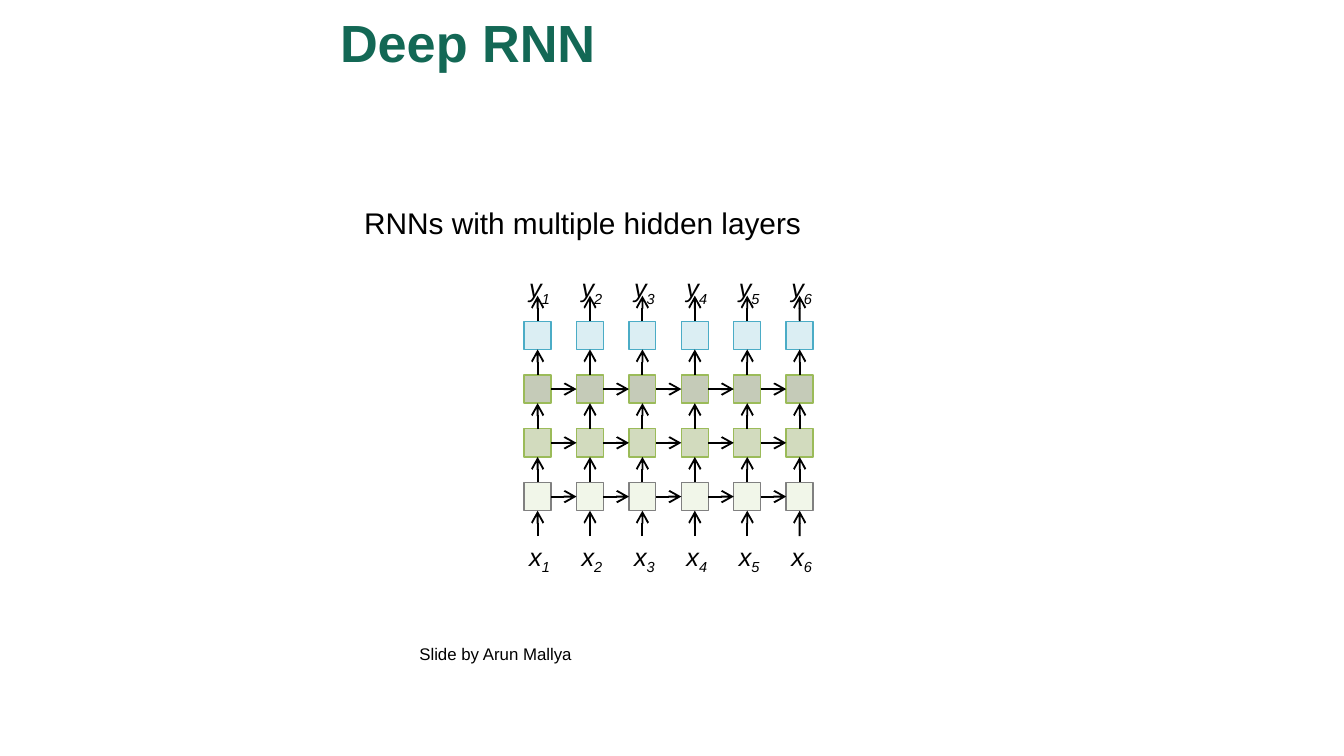
from dataclasses import dataclass

from lxml.etree import SubElement
from pptx import Presentation
from pptx.dml.color import RGBColor
from pptx.enum.shapes import MSO_CONNECTOR, MSO_SHAPE
from pptx.enum.text import MSO_ANCHOR, MSO_AUTO_SIZE, PP_ALIGN
from pptx.oxml.ns import qn
from pptx.util import Inches, Pt

TITLE = "Deep RNN"
SUBTITLE = "RNNs with multiple hidden layers"
CREDIT = "Slide by Arun Mallya"
STEPS = 6
# Layers from top to bottom: fill, outline, linked from step to step
LAYERS = [
    ("93CDDD", "4BACC6", False),
    ("4F6228", "9BBB59", True),
    ("77933C", "9BBB59", True),
    ("D7E4BD", "808080", True),
]


@dataclass(frozen=True)
class Theme:
    font: str = "Arial"
    heading: str = "136855"
    ink: str = "000000"
    title_size: float = 28
    body_size: float = 16
    label_size: float = 13.5
    credit_size: float = 9
    cell_opacity: int = 33
    cell_line: float = 0.75
    arrow_line: float = 1


THEME = Theme()

# Slide and grid in inches
SLIDE_W = 10
SLIDE_H = SLIDE_W * 9 / 16
LEFT, TOP = 3.9, 2.39
COLUMN, ROW = 0.39, 0.4
CELL_W, CELL_H = 0.2, 0.21
ARROW = ROW - CELL_H
LABEL_LEFT, LABEL_W, LABEL_H = 3.83, 0.37, 0.33
LABEL_TOPS = {"y": 1.98, "x": 3.98}
# Connection sites of a rectangle
ABOVE, BEFORE, BELOW, AFTER = range(4)


def inches(*lengths):
    return [Inches(length) for length in lengths]


def style(para, size, color=THEME.ink, bold=False, italic=False):
    font = para.font
    font.name, font.size = THEME.font, Pt(size)
    font.bold, font.italic = bold, italic
    font.color.rgb = RGBColor.from_string(color)


def fill_placeholder(box, text, area, anchor):
    """Move a placeholder, set its text without bullet and return the paragraph."""
    box.left, box.top, box.width, box.height = inches(*area)
    frame = box.text_frame
    frame.text = text
    frame.auto_size = MSO_AUTO_SIZE.NONE
    frame.vertical_anchor = anchor
    para = frame.paragraphs[0]
    para.alignment = PP_ALIGN.LEFT
    para.space_before = Pt(0)
    properties = para._p.get_or_add_pPr()
    properties.set("marL", "0")
    properties.set("indent", "0")
    SubElement(properties, qn("a:buNone"))
    return para


def add_cell(slide, column, row, fill, outline):
    area = inches(LEFT + column * COLUMN, TOP + row * ROW, CELL_W, CELL_H)
    cell = slide.shapes.add_shape(MSO_SHAPE.RECTANGLE, *area)
    cell.shadow.inherit = False
    cell.fill.solid()
    cell.fill.fore_color.rgb = RGBColor.from_string(fill)
    color = cell._element.spPr.find(qn("a:solidFill"))[0]
    SubElement(color, qn("a:alpha"), val=str(THEME.cell_opacity * 1000))
    cell.line.color.rgb = RGBColor.from_string(outline)
    cell.line.width = Pt(THEME.cell_line)
    return cell


def add_arrow(slide, start=(0, 0), end=(0, 0), source=None, target=None):
    """Draw an arrow; source and target are (cell, site) pairs to join."""
    arrow = slide.shapes.add_connector(
        MSO_CONNECTOR.STRAIGHT, *inches(*start, *end))
    if source:
        arrow.begin_connect(*source)
    if target:
        arrow.end_connect(*target)
    arrow.line.color.rgb = RGBColor.from_string(THEME.ink)
    arrow.line.width = Pt(THEME.arrow_line)
    SubElement(arrow.line._get_or_add_ln(), qn("a:tailEnd"), type="arrow")
    SubElement(arrow._element.spPr, qn("a:effectLst"))


def add_label(slide, letter, column, top):
    left = LABEL_LEFT + column * COLUMN
    box = slide.shapes.add_textbox(*inches(left, top, LABEL_W, LABEL_H))
    box.text_frame.word_wrap = False
    para = box.text_frame.paragraphs[0]
    para.alignment = PP_ALIGN.CENTER
    style(para, THEME.label_size, italic=True)
    para.add_run().text = letter
    index = para.add_run()
    index.text = str(column + 1)
    index._r.get_or_add_rPr().set("baseline", "-25000")


def add_network(slide):
    cells = [[add_cell(slide, column, row, fill, outline)
              for column in range(STEPS)]
             for row, (fill, outline, _) in enumerate(LAYERS)]

    for layer, (_, _, linked) in zip(cells, LAYERS):
        if linked:
            for cell, following in zip(layer, layer[1:]):
                add_arrow(slide, source=(cell, AFTER), target=(following, BEFORE))
    for upper_layer, lower_layer in zip(cells, cells[1:]):
        for upper, lower in zip(upper_layer, lower_layer):
            add_arrow(slide, source=(lower, ABOVE), target=(upper, BELOW))

    input_top = TOP + len(LAYERS) * ROW
    for column in range(STEPS):
        middle = LEFT + column * COLUMN + CELL_W / 2
        add_arrow(slide, start=(middle, input_top), target=(cells[-1][column], BELOW))
        add_arrow(slide, end=(middle, TOP - ARROW), source=(cells[0][column], ABOVE))
        for letter, top in LABEL_TOPS.items():
            add_label(slide, letter, column, top)


def add_credit(slide):
    box = slide.shapes.add_textbox(*inches(3.12, 4.79, 1.55, 0.15))
    frame = box.text_frame
    frame.word_wrap = True
    frame.margin_left = frame.margin_right = 0
    frame.margin_top = frame.margin_bottom = 0
    frame.text = CREDIT
    style(frame.paragraphs[0], THEME.credit_size)


def main():
    deck = Presentation()
    deck.slide_width, deck.slide_height = inches(SLIDE_W, SLIDE_H)
    slide = deck.slides.add_slide(deck.slide_layouts[1])
    title, body = slide.placeholders
    para = fill_placeholder(title, TITLE, (2.43, 0, 6.33, 0.62), MSO_ANCHOR.MIDDLE)
    style(para, THEME.title_size, THEME.heading, bold=True)
    para = fill_placeholder(body, SUBTITLE, (2.61, 1.47, 5.06, 0.35), MSO_ANCHOR.TOP)
    style(para, THEME.body_size)
    add_network(slide)
    add_credit(slide)
    deck.save("out.pptx")


if __name__ == "__main__":
    main()
